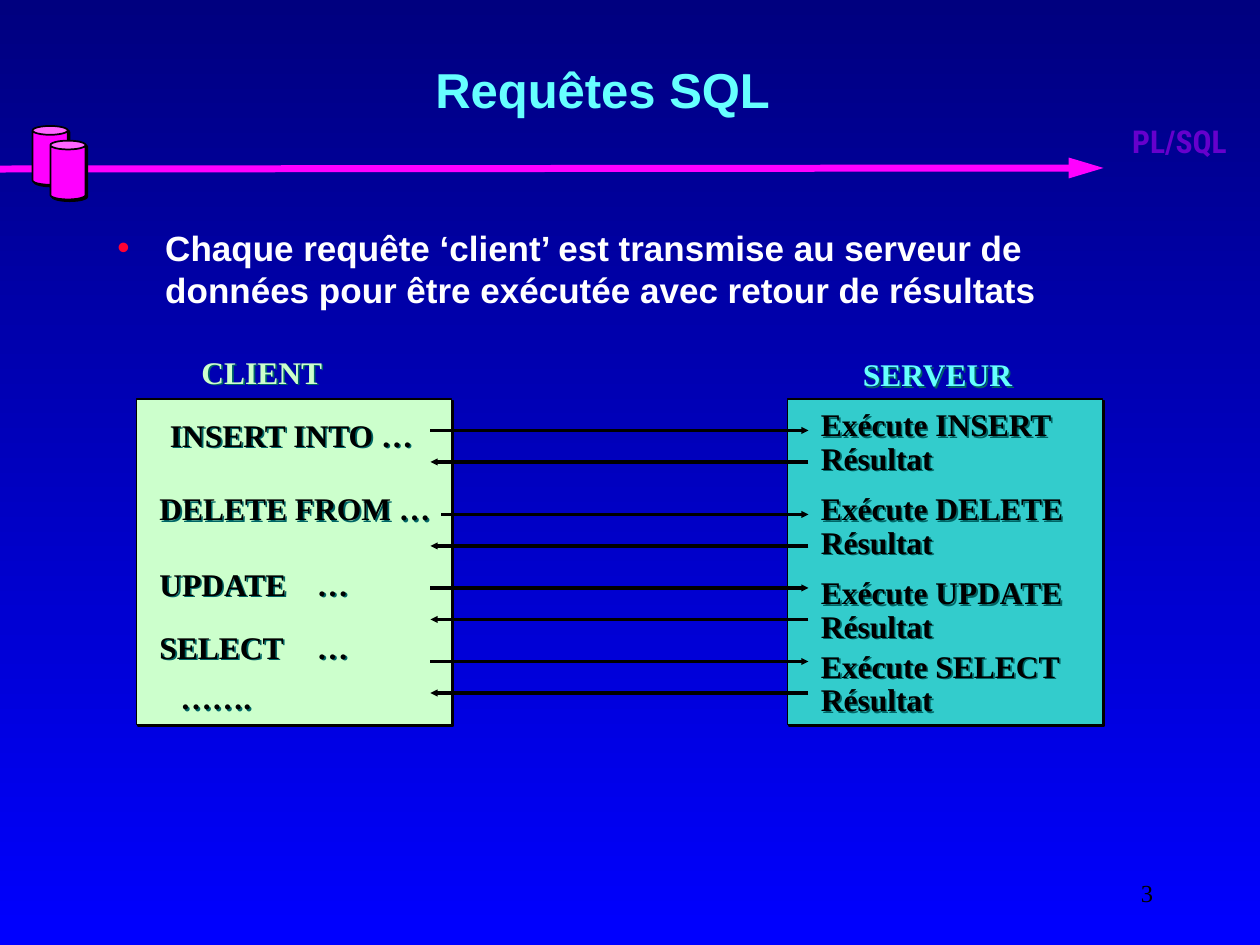
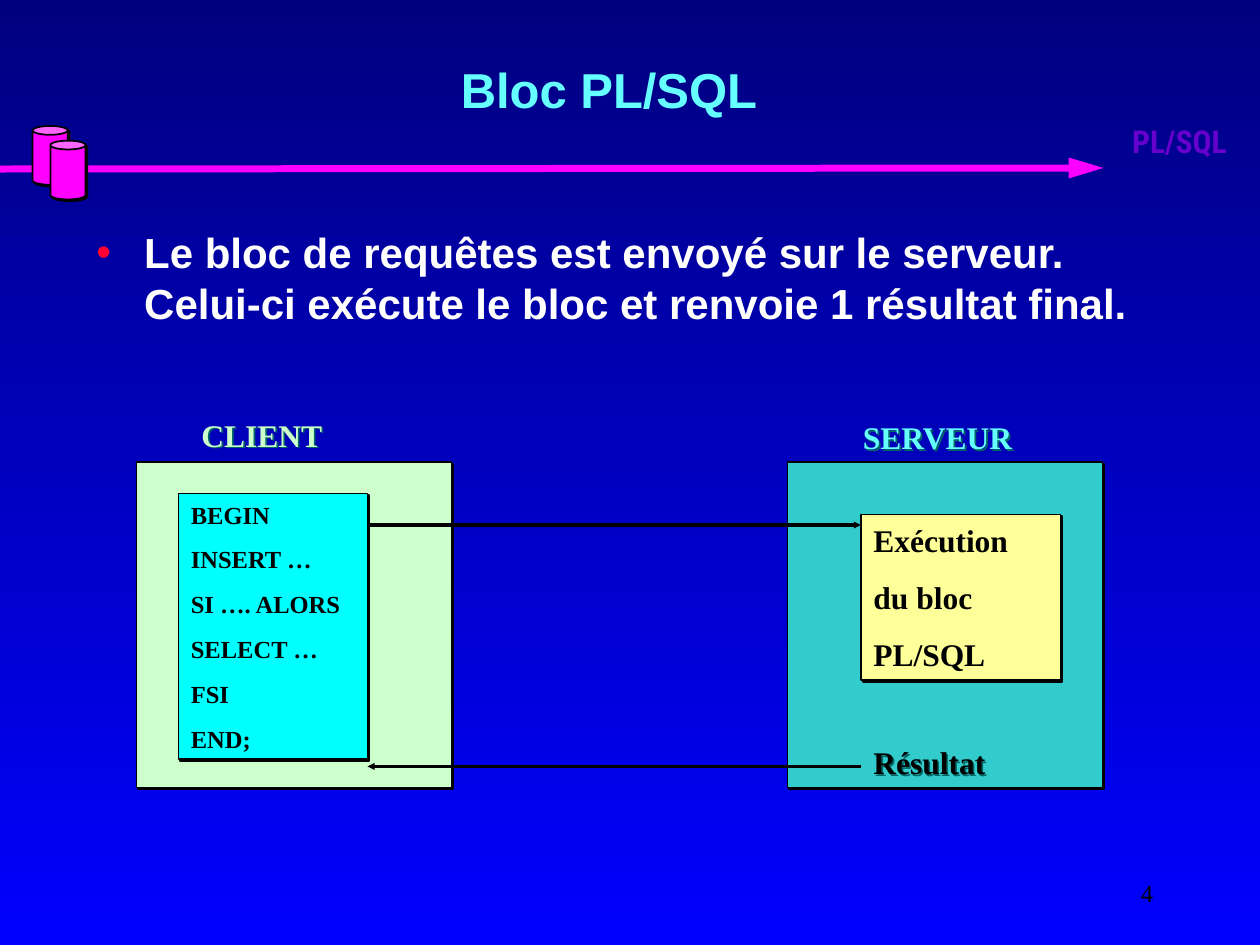
from lxml.etree import SubElement
from pptx import Presentation
from pptx.dml.color import RGBColor
from pptx.enum.shapes import MSO_CONNECTOR as LINE, MSO_SHAPE as SHAPE
from pptx.enum.text import MSO_ANCHOR as ANCHOR, PP_ALIGN as ALIGN
from pptx.oxml.ns import qn
from pptx.util import Emu, Inches, Pt

CELL = Inches(1) // 12  # the slide is a grid of 120 columns and 90 rows
COLS, ROWS = 120, 90
PANEL_W, PANEL_H = 30, 31
CLIENT_X, SERVER_X = 13, 75
LABEL_H = 4.8
REPLY = 3  # rows between a request and its reply

HEX = {
    "night": "00007F", "blue": "0000FF", "pink": "FF00FF", "purple": "6600CC",
    "title": "66FFFF", "white": "FFFFFF", "black": "000000", "bullet": "FF0033",
    "client": "CCFFCC", "server": "33CCCC", "code": "00FFFF", "run": "FFFF99",
    "shade": "006666",
}
SANS, SERIF, NARROW = "Arial", "Times New Roman", "Roboto Condensed"


def rgb(name):
    return RGBColor.from_string(HEX[name])


def grid(*cells):
    return [Emu(round(n * CELL)) for n in cells]


def shade(shape, color="black"):
    """Give the shape a hard shadow, down and to the right."""
    shape.shadow.inherit = False
    effects = shape._element.spPr.find(qn("a:effectLst"))
    outer = SubElement(effects, qn("a:outerShdw"), dist=str(Pt(1.4)),
                       dir="2700000", algn="ctr", rotWithShape="0")
    SubElement(outer, qn("a:srgbClr"), val=HEX[color])


def style(par, size, color, face=SERIF, bold=True, align=ALIGN.LEFT):
    par.alignment = align
    font = par.font
    font.size, font.bold, font.name = Pt(size), bold, face
    font.color.rgb = rgb(color)


def write(shape, lines, size, color, gap=0, **look):
    """Fill the shape with one paragraph per line, gap points apart."""
    frame = shape.text_frame
    frame.word_wrap = True
    for i, words in enumerate(lines):
        par = frame.add_paragraph() if i else frame.paragraphs[0]
        par.text = words
        if i:
            par.space_before = Pt(gap)
        style(par, size, color, **look)


def text(slide, box, words, size=18, color="black", **look):
    shape = slide.shapes.add_textbox(*grid(*box))
    write(shape, [words], size, color, **look)
    return shape


def label(slide, x, y, w, words, color="black", tab=None):
    """Shadowed serif text, with an optional tab stop in columns."""
    shape = slide.shapes.add_textbox(*grid(x, y, w, LABEL_H))
    shade(shape, "shade")
    if tab:
        props = shape.text_frame.paragraphs[0]._p.get_or_add_pPr()
        stops = SubElement(props, qn("a:tabLst"))
        SubElement(stops, qn("a:tab"), pos=str(tab * CELL), algn="l")
    write(shape, [words], 18, color)


def block(slide, box, fill, kind=SHAPE.RECTANGLE):
    shape = slide.shapes.add_shape(kind, *grid(*box))
    shape.fill.solid()
    shape.fill.fore_color.rgb = rgb(fill)
    shape.line.color.rgb = rgb("black")
    shape.line.width = Pt(1)
    shade(shape)
    return shape


def listing(slide, box, fill, lines, size, gap):
    """A filled block with lines of text from its top."""
    shape = block(slide, box, fill)
    shape.text_frame.vertical_anchor = ANCHOR.TOP
    write(shape, lines, size, "black", gap)


def arrow(slide, start, end, color="black", width=2, head=("sm", "sm")):
    link = slide.shapes.add_connector(LINE.STRAIGHT, *grid(*start, *end))
    link.line.color.rgb = rgb(color)
    link.line.width = Pt(width)
    SubElement(link.line._get_or_add_ln(), qn("a:tailEnd"),
               type="triangle", w=head[0], len=head[1])
    SubElement(link._element.spPr, qn("a:effectLst"))


def banner(slide):
    arrow(slide, (0, 16.1), (105.1, 16), "pink", 4, ("med", "lg"))
    for x, y in ((3.1, 12), (4.8, 13.4)):
        block(slide, (x, y, 3.35, 5.6), "pink", SHAPE.CAN)
    text(slide, (106.65, 11, 13, 9.4), "PL/SQL", color="purple", face=NARROW)


def bullet(slide, x, words, size):
    shape = slide.shapes.add_textbox(*grid(x, 21, 102, 54))
    props = shape.text_frame.paragraphs[0]._p.get_or_add_pPr()
    indent = Inches(0.38)
    props.set("marL", str(indent))
    props.set("indent", str(-indent))
    SubElement(SubElement(props, qn("a:buClr")), qn("a:srgbClr"), val=HEX["bullet"])
    SubElement(props, qn("a:buFont"), typeface=SANS)
    SubElement(props, qn("a:buChar"), char="•")
    write(shape, [words], size, "white", face=SANS)


def page(deck, number, title):
    """Add a slide with its background, banner, title and number."""
    slide = deck.slides.add_slide(deck.slide_layouts[5])
    fill = slide.background.fill
    fill.gradient()
    fill.gradient_angle = 270
    for stop, name in zip(fill.gradient_stops, ("night", "blue")):
        stop.color.rgb = rgb(name)
    banner(slide)
    head = slide.shapes.title
    head.left, head.top, head.width, head.height = grid(5, 1, 106, 15)
    head.text_frame.vertical_anchor = ANCHOR.MIDDLE
    head.text_frame.text = title
    style(head.text_frame.paragraphs[0], 28, "title", SANS, align=ALIGN.CENTER)
    foot = text(slide, (86, 82, 25, 6), str(number), 14, bold=False, align=ALIGN.RIGHT)
    foot.text_frame.vertical_anchor = ANCHOR.MIDDLE
    return slide


def panels(slide, top):
    """The client and server blocks with their names above."""
    for x, fill in ((CLIENT_X, "client"), (SERVER_X, "server")):
        block(slide, (x, top, PANEL_W, PANEL_H), fill)
    label(slide, CLIENT_X + 5, top - 5, 24, "CLIENT", "client")
    label(slide, SERVER_X + 6, top - 4.75, 18, "SERVEUR", "title")


def queries(slide, top):
    """Four requests, each with its own reply."""
    panels(slide, top)
    # verb, rest of the request, indent, text row, arrow start, arrow row, server row
    rows = [
        ("INSERT", " INTO …", 2, 1, 28, 3, 0),
        ("DELETE", " FROM …", 1, 8, 29, 11, 8),
        ("UPDATE", "\t…", 1, 15.2, 28, 18, 16),
        ("SELECT", "\t…", 1, 21.2, 28, 25, 23),
    ]
    left, right = CLIENT_X + 28, SERVER_X + 2
    for verb, rest, inset, row, start, line, reply in rows:
        tab = 15 if "\t" in rest else None
        label(slide, CLIENT_X + inset, top + row, 29, verb + rest, tab=tab)
        arrow(slide, (CLIENT_X + start, top + line), (right, top + line))
        arrow(slide, (right, top + line + REPLY), (left, top + line + REPLY))
        label(slide, right, top + reply, 26, f"Exécute {verb}")
        label(slide, right, top + reply + 3.2, 19, "Résultat")
    label(slide, CLIENT_X + 3, top + 26, 16, "…….")


def batch(slide, top):
    """One block of code sent, one result back."""
    panels(slide, top)
    left, right = CLIENT_X + 4, SERVER_X + 7
    edge = left + 18
    code = ["BEGIN", "INSERT …", "SI …. ALORS", "SELECT …", "FSI", "END;"]
    listing(slide, (left, top + 3, edge - left, 25.3), "code", code, 14, 8.8)
    listing(slide, (right, top + 5, 19, 15.8), "run",
            ["Exécution", "du bloc", "PL/SQL"], 18, 11.2)
    arrow(slide, (edge, top + 6), (right, top + 6))
    arrow(slide, (right, top + 29), (edge, top + 29))
    label(slide, right, top + 26.2, 19, "Résultat")


def main():
    deck = Presentation()
    deck.slide_width, deck.slide_height = grid(COLS, ROWS)

    slide = page(deck, 3, "Requêtes SQL ")
    bullet(slide, 10, "Chaque requête ‘client’ est transmise au serveur de données "
           "pour être exécutée avec retour de résultats", 20)
    queries(slide, 38)

    slide = page(deck, 4, "Bloc PL/SQL")
    bullet(slide, 8, "Le bloc de requêtes est envoyé sur le serveur. "
           "Celui-ci exécute le bloc et renvoie 1 résultat final.", 24)
    batch(slide, 44)

    deck.save("out.pptx")


if __name__ == "__main__":
    main()
